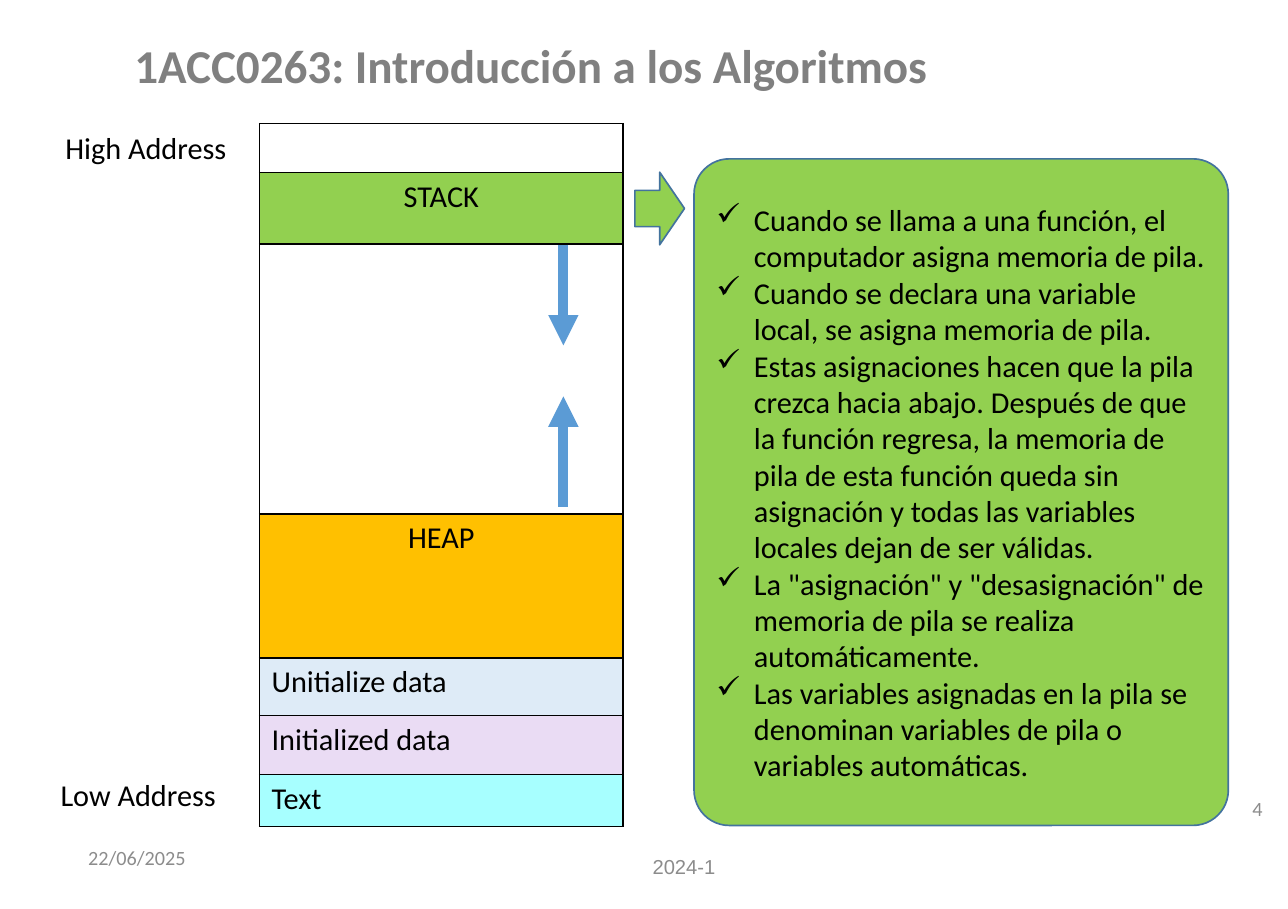
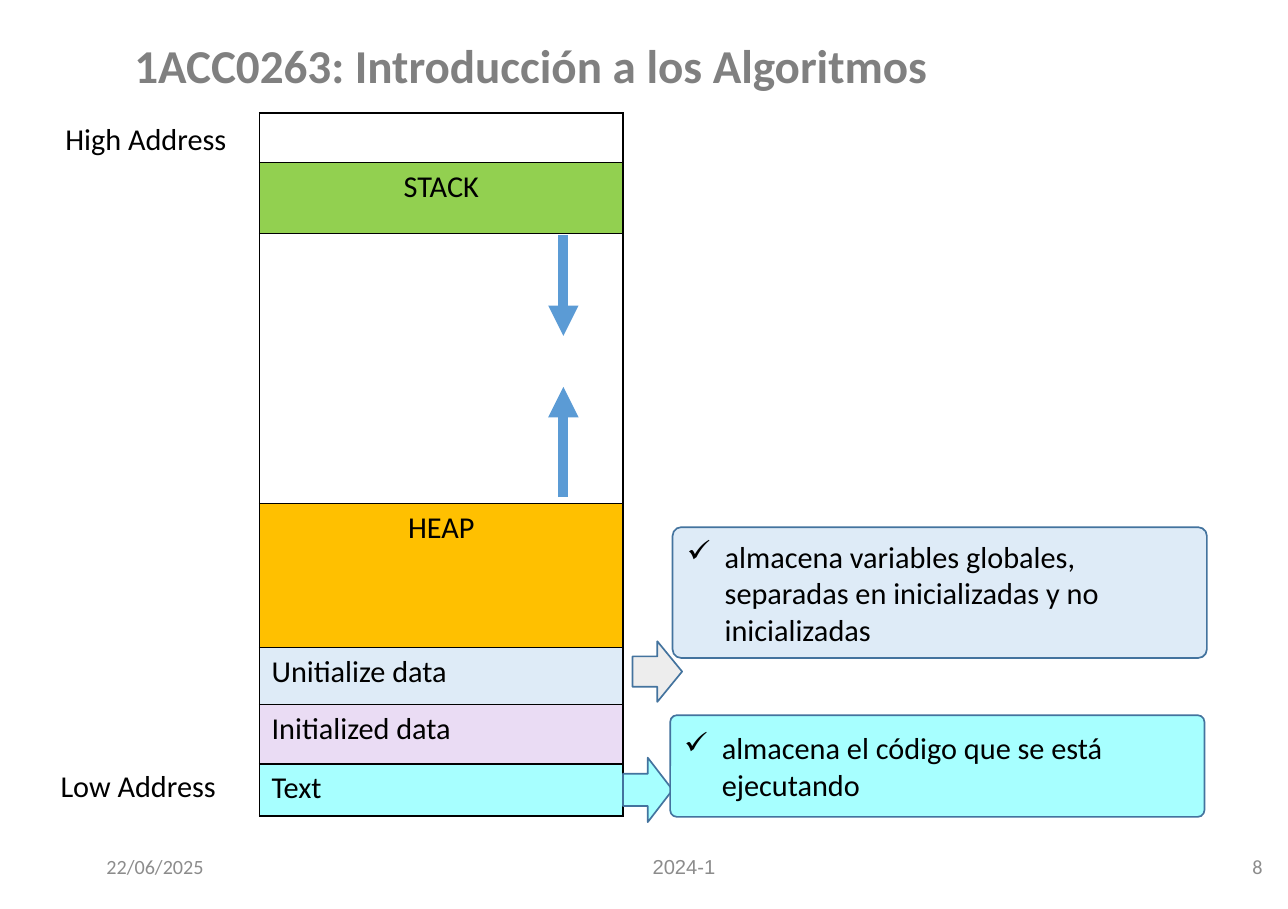
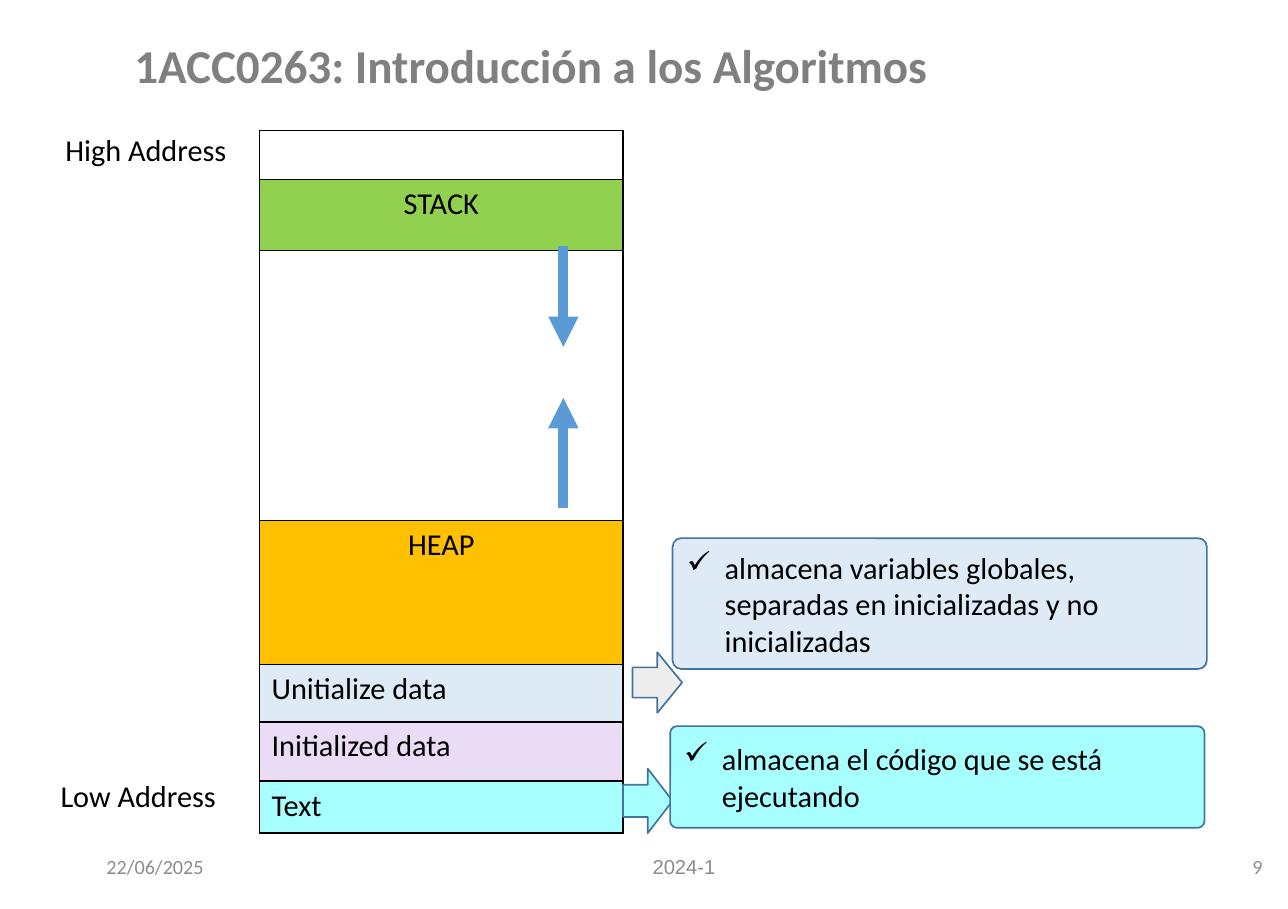
from lxml import etree
from pptx import Presentation
from pptx.dml.color import RGBColor
from pptx.enum import shapes, text
from pptx.oxml import ns
from pptx.util import Cm, Pt

BLACK = RGBColor(0x00, 0x00, 0x00)
WHITE = RGBColor(0xFF, 0xFF, 0xFF)
GREY = RGBColor(0x80, 0x80, 0x80)
PALE = RGBColor(0x8C, 0x8C, 0x8C)
GREEN = RGBColor(0x92, 0xD0, 0x50)
AMBER = RGBColor(0xFF, 0xC0, 0x00)
ICE = RGBColor(0xDE, 0xEB, 0xF7)
LILAC = RGBColor(0xEA, 0xDC, 0xF4)
AQUA = RGBColor(0xA7, 0xFF, 0xFF)
SILVER = RGBColor(0xED, 0xED, 0xED)
BLUE = RGBColor(0x5B, 0x9B, 0xD5)
NAVY = RGBColor(0x43, 0x73, 0x9E)

LEFT, MID, RIGHT = text.PP_ALIGN.LEFT, text.PP_ALIGN.CENTER, text.PP_ALIGN.RIGHT
BOX = shapes.MSO_SHAPE.ROUNDED_RECTANGLE
ARROW = shapes.MSO_SHAPE.RIGHT_ARROW

# Memory map rows: text, alignment, fill, height in cm
ROWS = [
    ("", LEFT, WHITE, 1.03),
    ("STACK", MID, GREEN, 1.49),
    ("", LEFT, WHITE, 5.66),
    ("HEAP", MID, AMBER, 3.02),
    ("Unitialize data", LEFT, ICE, 1.2),
    ("Initialized data", LEFT, LILAC, 1.24),
    ("Text", LEFT, AQUA, 1.09),
]
MAP_LEFT, MAP_WIDTH = 5.44, 7.62

# Notes: shape, left, offset below the slide's top line, width, height, fill, lines
STACK = [
    (BOX, 14.55, 0.74, 11.2, 13.97, GREEN, [
        "Cuando se llama a una función, el computador asigna memoria de pila.",
        "Cuando se declara una variable local, se asigna memoria de pila.",
        "Estas asignaciones hacen que la pila crezca hacia abajo. Después de que la "
        "función regresa, la memoria de pila de esta función queda sin asignación y "
        "todas las variables locales dejan de ser válidas.",
        'La "asignación" y "desasignación" de memoria de pila se realiza automáticamente.',
        "Las variables asignadas en la pila se denominan variables de pila o "
        "variables automáticas.",
    ]),
    (ARROW, 13.31, 1.02, 1.04, 1.52, GREEN, []),
]
DATA = [
    (BOX, 14.1, 8.66, 11.2, 2.74, ICE, [
        "almacena variables globales, separadas en inicializadas y no inicializadas"]),
    (ARROW, 13.26, 11.05, 1.04, 1.27, SILVER, []),
    (ARROW, 13.06, 13.49, 1.04, 1.35, AQUA, []),
    (BOX, 14.05, 12.6, 11.2, 2.13, AQUA, ["almacena el código que se está ejecutando"]),
]

# Slides: number, top line, map top, date position, number top, notes
SLIDES = [
    ("4", 2.59, 2.59, (1.6, 17.45), 16.43, STACK),
    ("8", 2.39, 2.37, (1.98, 17.65), 17.65, DATA),
    ("9", 2.62, 2.73, (1.98, 17.65), 17.65, DATA),
]


def style(para, size, color, font="Calibri", align=LEFT, bold=False):
    para.alignment = align
    for run in para.runs:
        run.font.size, run.font.name, run.font.bold = Pt(size), font, bold
        run.font.color.rgb = color


def write(slide, words, left, top, width, size, color, font="Calibri", align=LEFT):
    """Add one line of text in a box 1.02 cm high and return its frame."""
    frame = slide.shapes.add_textbox(Cm(left), Cm(top), Cm(width), Cm(1.02)).text_frame
    frame.text = words
    frame.word_wrap = True
    frame.vertical_anchor = text.MSO_ANCHOR.MIDDLE
    style(frame.paragraphs[0], size, color, font, align)
    return frame


deck = Presentation()
deck.slide_width, deck.slide_height = Cm(27), Cm(19.05)

for number, top, map_top, date, number_top, notes in SLIDES:
    slide = deck.slides.add_slide(deck.slide_layouts[5])

    title = slide.shapes.title
    title.left, title.top, title.width, title.height = Cm(1.42), Cm(0.28), Cm(19.41), Cm(2.16)
    title.text_frame.text = "1ACC0263: Introducción a los Algoritmos"
    title.text_frame.vertical_anchor = text.MSO_ANCHOR.MIDDLE
    style(title.text_frame.paragraphs[0], 28, GREY, align=MID, bold=True)

    write(slide, "2024-1", 9.5, 17.65, 9.68, 12, PALE, "Arial", MID)
    write(slide, "22/06/2025", *date, 6.45, 12, PALE)
    write(slide, number, 20.27, number_top, 6.45, 12, PALE, align=RIGHT)

    # Memory map
    height = sum(row[3] for row in ROWS)
    table = slide.shapes.add_table(len(ROWS), 1, Cm(MAP_LEFT), Cm(map_top),
                                   Cm(MAP_WIDTH), Cm(height)).table
    table.first_row = table.horz_banding = False
    for i, (words, align, fill, tall) in enumerate(ROWS):
        table.rows[i].height = Cm(tall)
        cell = table.cell(i, 0)
        cell.text = words
        style(cell.text_frame.paragraphs[0], 18, BLACK, align=align)
        props = cell._tc.get_or_add_tcPr()
        for side in ("a:lnL", "a:lnR", "a:lnT", "a:lnB"):
            edge = etree.SubElement(props, ns.qn(side), w=str(Pt(1)))
            paint = etree.SubElement(edge, ns.qn("a:solidFill"))
            etree.SubElement(paint, ns.qn("a:srgbClr"), val=str(BLACK))
        cell.fill.solid()
        cell.fill.fore_color.rgb = fill

    # Growth arrows: stack down, heap up
    for start, end in ((2.54, 4.65), (8.03, 5.72)):
        line = slide.shapes.add_connector(shapes.MSO_CONNECTOR.STRAIGHT, Cm(11.81),
                                          Cm(top + start), Cm(11.81), Cm(top + end))
        line.line.color.rgb = BLUE
        line.line.width = Pt(6)
        etree.SubElement(line.line._get_or_add_ln(), ns.qn("a:tailEnd"), type="triangle")
        etree.SubElement(line._element.spPr, ns.qn("a:effectLst"))

    for words, left, drop, width in (("High Address", 1.12, 0, 3.94),
                                     ("Low Address", 1.02, 13.55, 3.81)):
        frame = write(slide, words, left, top + drop, width, 18, BLACK)
        frame.word_wrap = False
        frame.auto_size = text.MSO_AUTO_SIZE.SHAPE_TO_FIT_TEXT

    for kind, left, drop, width, tall, fill, lines in notes:
        note = slide.shapes.add_shape(kind, Cm(left), Cm(top + drop), Cm(width), Cm(tall))
        note.shadow.inherit = False
        note.fill.solid()
        note.fill.fore_color.rgb = fill
        note.line.color.rgb = NAVY
        note.line.width = Pt(1)
        if kind == BOX:
            note.adjustments[0] = 0.066
        frame = note.text_frame
        frame.vertical_anchor = text.MSO_ANCHOR.MIDDLE
        for i, words in enumerate(lines):
            para = frame.add_paragraph() if i else frame.paragraphs[0]
            para.text = words
            style(para, 18, BLACK)
            props = para._p.get_or_add_pPr()
            props.set("marL", str(Cm(0.79)))
            props.set("indent", str(Cm(-0.79)))
            etree.SubElement(props, ns.qn("a:buChar"), char="✓")

deck.save("out.pptx")
